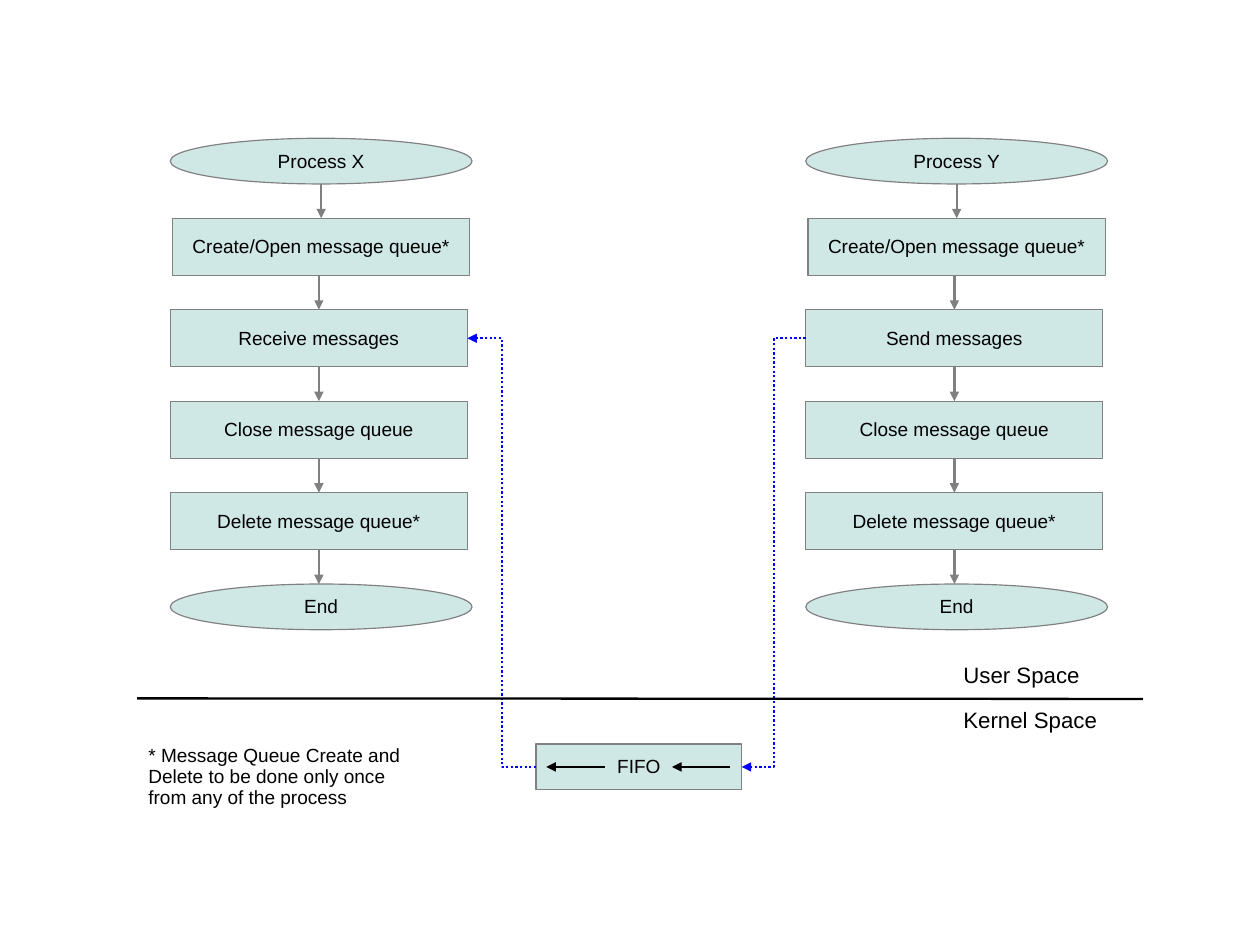
from dataclasses import dataclass

from lxml import etree
from pptx import Presentation
from pptx.dml.color import RGBColor
from pptx.enum.dml import MSO_LINE
from pptx.enum.shapes import MSO_CONNECTOR, MSO_SHAPE
from pptx.enum.text import MSO_ANCHOR, PP_ALIGN
from pptx.oxml.ns import qn
from pptx.util import Cm, Inches, Pt

RECT, OVAL = MSO_SHAPE.RECTANGLE, MSO_SHAPE.OVAL
STRAIGHT, ELBOW = MSO_CONNECTOR.STRAIGHT, MSO_CONNECTOR.ELBOW
DOTTED = MSO_LINE.ROUND_DOT
LEFT, CENTER = PP_ALIGN.LEFT, PP_ALIGN.CENTER
TOP, MIDDLE = MSO_ANCHOR.TOP, MSO_ANCHOR.MIDDLE

COLORS = {"fill": "CFE7E5", "flow": "808080", "message": "0000FF", "ink": "000000"}
FONT = "Arial"

# Grid: tenth-of-an-inch cells, counted from the corner of the first node
CELL, ORIGIN_X, ORIGIN_Y = 0.1, 1.49, 1.21
LANE_PITCH = 55.6
BOX_W, BOX_H = 26, 5
OVAL_W, OVAL_H = 26.4, 4
GAP = 3
THICK, THIN = 1.45, 0.75


@dataclass(frozen=True)
class Node:
    text: str
    kind: MSO_SHAPE
    col: float
    row: float
    w: float
    h: float

    @property
    def center(self) -> float:
        return self.col + self.w / 2

    @property
    def middle(self) -> float:
        return self.row + self.h / 2

    @property
    def right(self) -> float:
        return self.col + self.w

    @property
    def bottom(self) -> float:
        return self.row + self.h


@dataclass(frozen=True)
class Label:
    text: str
    col: float
    row: float
    w: float
    h: float
    size: float
    inset_top: float


@dataclass(frozen=True)
class Link:
    start: tuple[float, float]
    end: tuple[float, float]
    color: str
    width: float
    kind: MSO_CONNECTOR = STRAIGHT
    dash: MSO_LINE | None = None
    arrow: bool = True


LABELS = [
    Label("Kernel Space", 68.4, 49.2, 13.8, 3.8, 14, 0.07),
    Label("User Space", 68.4, 45.3, 14.1, 3.2, 14, 0.07),
    Label("* Message Queue Create and Delete to be done only once from any of the process",
          -2.9, 52.6, 25, 7, 12, 0.05),
]


def x(col: float) -> int:
    return Inches(ORIGIN_X + col * CELL)


def y(row: float) -> int:
    return Inches(ORIGIN_Y + row * CELL)


def span(cells: float) -> int:
    return Inches(cells * CELL)


def rgb(name: str) -> RGBColor:
    return RGBColor.from_string(COLORS[name])


def set_text(sp, text: str, *, size: float = 12, align: PP_ALIGN = LEFT,
             anchor: MSO_ANCHOR = TOP, wrap: bool = True, inset_top: float = 0.06) -> None:
    tf = sp.text_frame
    tf.word_wrap = wrap
    tf.vertical_anchor = anchor
    tf.margin_left = tf.margin_right = Inches(0.1)
    tf.margin_top, tf.margin_bottom = Inches(inset_top), Inches(0.05)
    p = tf.paragraphs[0]
    p.alignment = align
    p.line_spacing = 0.93
    r = p.add_run()
    r.text = text
    r.font.name, r.font.size = FONT, Pt(size)
    r.font.color.rgb = rgb("ink")


def add_node(s, node: Node) -> None:
    sp = s.shapes.add_shape(node.kind, x(node.col), y(node.row), span(node.w), span(node.h))
    sp.shadow.inherit = False
    sp.fill.solid()
    sp.fill.fore_color.rgb = rgb("fill")
    sp.line.color.rgb = rgb("flow")
    sp.line.width = Pt(THIN)
    set_text(sp, node.text, align=CENTER, anchor=MIDDLE, wrap=False)


def add_label(s, label: Label) -> None:
    sp = s.shapes.add_textbox(x(label.col), y(label.row), span(label.w), span(label.h))
    set_text(sp, label.text, size=label.size, inset_top=label.inset_top)


def add_link(s, link: Link) -> None:
    (c1, r1), (c2, r2) = link.start, link.end
    sp = s.shapes.add_connector(link.kind, x(c1), y(r1), x(c2), y(r2))
    sp.line.color.rgb = rgb(link.color)
    sp.line.width = Pt(link.width)
    if link.dash is not None:
        sp.line.dash_style = link.dash
    props = sp._element.spPr
    if link.arrow:
        etree.SubElement(props.find(qn("a:ln")), qn("a:tailEnd"), type="triangle")
    etree.SubElement(props, qn("a:effectLst"))


def lane_nodes(col: float, process: str, action: str) -> list[Node]:
    """Stack one process's steps from its start oval to its end oval."""
    steps = [(process, OVAL), ("Create/Open message queue*", RECT), (action, RECT),
             ("Close message queue", RECT), ("Delete message queue*", RECT), ("End", OVAL)]
    nodes, row = [], 0
    for i, (text, kind) in enumerate(steps):
        w, h = (OVAL_W, OVAL_H) if kind == OVAL else (BOX_W, BOX_H)
        shift = (OVAL_W - BOX_W) / 2 if i == 1 else 0
        nodes.append(Node(text, kind, col + shift, row, w, h))
        row += h + GAP
    return nodes


def flow_links(nodes: list[Node]) -> list[Link]:
    links = []
    for a, b in zip(nodes, nodes[1:]):
        col = min(a.center, b.center)
        links.append(Link((col, a.bottom), (col, b.row), "flow", THICK))
    return links


def main() -> None:
    prs = Presentation()
    prs.slide_width, prs.slide_height = Cm(28), Cm(21)
    s = prs.slides.add_slide(prs.slide_layouts[6])

    lane_x = lane_nodes(0, "Process X", "Receive messages")
    lane_y = lane_nodes(LANE_PITCH, "Process Y", "Send messages")
    receive, send = lane_x[2], lane_y[2]
    fifo = Node("FIFO", RECT, 32, 53, 18, 4)

    links = flow_links(lane_x) + flow_links(lane_y)
    links += [Link((col, fifo.middle), (col - 5.1, fifo.middle), "ink", THIN)
              for col in (fifo.right - 1, fifo.col + 6)]
    links += [Link(start, end, "message", THICK, ELBOW, DOTTED) for start, end in (
        ((send.col, send.middle), (fifo.right, fifo.middle)),
        ((fifo.col, fifo.middle), (receive.right, receive.middle)))]
    links.append(Link((-2.9, 49), (85.1, 49.05), "ink", THICK, arrow=False))

    for node in lane_x + lane_y + [fifo]:
        add_node(s, node)
    for label in LABELS:
        add_label(s, label)
    for link in links:
        add_link(s, link)
    prs.save("out.pptx")


if __name__ == "__main__":
    main()
